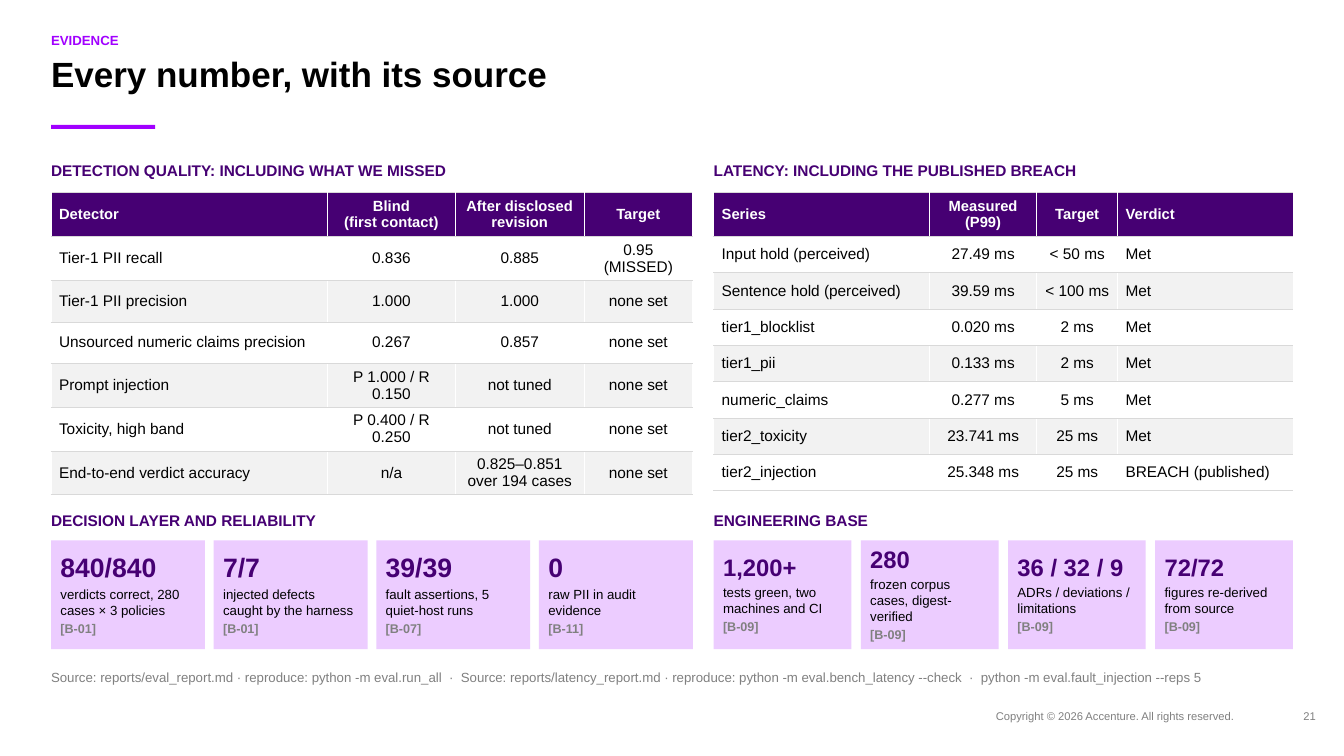
from lxml import etree
from pptx import Presentation
from pptx import util as u
from pptx.dml.color import RGBColor
from pptx.enum import shapes, text
from pptx.oxml import ns

PX = 9144
FONT = "Arial"
VIOLET = RGBColor(0xA1, 0x00, 0xFF)
PURPLE = RGBColor(0x46, 0x00, 0x73)
LILAC = RGBColor(0xEC, 0xCC, 0xFF)
BLACK = RGBColor(0x00, 0x00, 0x00)
WHITE = RGBColor(0xFF, 0xFF, 0xFF)
GREY = RGBColor(0x80, 0x80, 0x80)
STRIPE = RGBColor(0xF2, 0xF2, 0xF2)
RULE = RGBColor(0xD9, 0xD9, 0xD9)
LEFT, CENTER, RIGHT = text.PP_ALIGN.LEFT, text.PP_ALIGN.CENTER, text.PP_ALIGN.RIGHT

LEFT_X, LEFT_W = 76, 955
RIGHT_X, RIGHT_W = 1062, 862
FULL_W = 1848

DETECTION = [
    ["Detector", "Blind\n(first contact)", "After disclosed\nrevision", "Target"],
    ["Tier-1 PII recall", "0.836", "0.885", "0.95 (MISSED)"],
    ["Tier-1 PII precision", "1.000", "1.000", "none set"],
    ["Unsourced numeric claims precision", "0.267", "0.857", "none set"],
    ["Prompt injection", "P 1.000 / R 0.150", "not tuned", "none set"],
    ["Toxicity, high band", "P 0.400 / R 0.250", "not tuned", "none set"],
    ["End-to-end verdict accuracy", "n/a", "0.825–0.851\nover 194 cases", "none set"],
]
LATENCY = [
    ["Series", "Measured (P99)", "Target", "Verdict"],
    ["Input hold (perceived)", "27.49 ms", "< 50 ms", "Met"],
    ["Sentence hold (perceived)", "39.59 ms", "< 100 ms", "Met"],
    ["tier1_blocklist", "0.020 ms", "2 ms", "Met"],
    ["tier1_pii", "0.133 ms", "2 ms", "Met"],
    ["numeric_claims", "0.277 ms", "5 ms", "Met"],
    ["tier2_toxicity", "23.741 ms", "25 ms", "Met"],
    ["tier2_injection", "25.348 ms", "25 ms", "BREACH (published)"],
]
RELIABILITY = [
    ("840/840", "verdicts correct, 280 cases × 3 policies", "[B-01]"),
    ("7/7", "injected defects caught by the harness", "[B-01]"),
    ("39/39", "fault assertions, 5 quiet-host runs", "[B-07]"),
    ("0", "raw PII in audit evidence", "[B-11]"),
]
ENGINEERING = [
    ("1,200+", "tests green, two machines and CI", "[B-09]"),
    ("280", "frozen corpus cases, digest-verified", "[B-09]"),
    ("36 / 32 / 9", "ADRs / deviations / limitations", "[B-09]"),
    ("72/72", "figures re-derived from source", "[B-09]"),
]
SOURCES = (
    "Source: reports/eval_report.md · reproduce: python -m eval.run_all  ·  "
    "Source: reports/latency_report.md · reproduce: python -m eval.bench_latency --check  ·  "
    "python -m eval.fault_injection --reps 5"
)


def px(*lengths):
    """Turn px lengths into EMU."""
    return [u.Emu(round(length * PX)) for length in lengths]


def write(paragraph, words, size, color, bold=False, align=LEFT):
    """Fill a paragraph with runs, one per line of the words."""
    paragraph.alignment = align
    for number, line in enumerate(words.split("\n")):
        if number:
            paragraph.add_line_break()
        run = paragraph.add_run()
        run.text = line
        run.font.name = FONT
        run.font.size = u.Pt(size)
        run.font.bold = bold
        run.font.color.rgb = color


def add_label(slide, box, words, size, color, bold=False, align=LEFT, spacing=None):
    """Add a line of text without insets."""
    frame = slide.shapes.add_textbox(*px(*box)).text_frame
    frame.margin_left = frame.margin_top = frame.margin_right = frame.margin_bottom = 0
    frame.word_wrap = True
    frame.auto_size = text.MSO_AUTO_SIZE.SHAPE_TO_FIT_TEXT
    write(frame.paragraphs[0], words, size, color, bold, align)
    if spacing:
        frame.paragraphs[0].line_spacing = spacing


def add_block(slide, box, color):
    """Add a flat rectangle and return it."""
    block = slide.shapes.add_shape(shapes.MSO_SHAPE.RECTANGLE, *px(*box))
    block.shadow.inherit = False
    block.fill.solid()
    block.fill.fore_color.rgb = color
    block.line.fill.background()
    return block


def set_borders(cell):
    """Give a cell white sides and grey rules above and below."""
    properties = cell._tc.get_or_add_tcPr()
    for side, color, width in (("L", WHITE, 1), ("R", WHITE, 1), ("T", RULE, 0.75), ("B", RULE, 0.75)):
        line = etree.SubElement(properties, ns.qn(f"a:ln{side}"), w=str(u.Pt(width)))
        fill = etree.SubElement(line, ns.qn("a:solidFill"))
        etree.SubElement(fill, ns.qn("a:srgbClr"), val=str(color))


def add_grid(slide, left, columns, row_height, aligns, rows):
    """Add a striped table with a dark header row."""
    heights = [66] + [row_height] * (len(rows) - 1)
    box = px(left, 286, sum(columns), sum(heights))
    table = slide.shapes.add_table(len(rows), len(columns), *box).table
    table.horz_banding = False
    for column, width in zip(table.columns, px(*columns)):
        column.width = width
    for index, (row, height) in enumerate(zip(table.rows, px(*heights))):
        row.height = height
        header = index == 0
        for cell, words, align in zip(row.cells, rows[index], aligns):
            cell.margin_left, cell.margin_right, cell.margin_top, cell.margin_bottom = px(12, 12, 5, 5)
            cell.vertical_anchor = text.MSO_ANCHOR.MIDDLE
            set_borders(cell)
            cell.fill.solid()
            cell.fill.fore_color.rgb = PURPLE if header else WHITE if index % 2 else STRIPE
            write(cell.text_frame.paragraphs[0], words, 15.8 if header else 16.5,
                  WHITE if header else BLACK, header, align)


def add_card(slide, box, figure, meaning, reference, figure_size):
    """Add a card with a figure, its meaning and its reference."""
    frame = add_block(slide, box, LILAC).text_frame
    frame.word_wrap = True
    frame.vertical_anchor = text.MSO_ANCHOR.MIDDLE
    frame.margin_left, frame.margin_right, frame.margin_top, frame.margin_bottom = px(14, 14, 6, 6)
    headline = frame.paragraphs[0]
    headline.line_spacing = 0.92
    write(headline, figure, figure_size, PURPLE, True)
    for words, size, color, bold in ((meaning, 14.2, BLACK, False), (reference, 13.5, GREY, True)):
        detail = frame.add_paragraph()
        detail.space_before = u.Pt(3)
        write(detail, words, size, color, bold)


def add_card_row(slide, left, width, gap, figure_size, cards):
    """Spread cards evenly over a width."""
    card_width = (width - gap * (len(cards) - 1)) / len(cards)
    for index, card in enumerate(cards):
        box = (left + index * (card_width + gap), 804, card_width, 162)
        add_card(slide, box, *card, figure_size)


def main():
    """Build the evidence slide."""
    deck = Presentation()
    deck.slide_width, deck.slide_height = px(2000, 1125)
    slide = deck.slides.add_slide(deck.slide_layouts[6])

    add_label(slide, (LEFT_X, 48, FULL_W, 30), "EVIDENCE", 14.2, VIOLET, True)
    add_label(slide, (LEFT_X, 82, FULL_W, 95), "Every number, with its source", 37.5, BLACK, True, spacing=0.95)
    add_block(slide, (LEFT_X, 186, 155, 6), VIOLET)

    for left, top, width, heading in (
        (LEFT_X, 240, LEFT_W, "DETECTION QUALITY: INCLUDING WHAT WE MISSED"),
        (RIGHT_X, 240, RIGHT_W, "LATENCY: INCLUDING THE PUBLISHED BREACH"),
        (LEFT_X, 760, LEFT_W, "DECISION LAYER AND RELIABILITY"),
        (RIGHT_X, 760, RIGHT_W, "ENGINEERING BASE"),
    ):
        add_label(slide, (left, top, width, 38), heading, 16.5, PURPLE, True)

    add_grid(slide, LEFT_X, (411, 191, 191, 162), 62, (LEFT, CENTER, CENTER, CENTER), DETECTION)
    add_grid(slide, RIGHT_X, (321, 160, 120, 261), 54, (LEFT, CENTER, CENTER, LEFT), LATENCY)
    add_card_row(slide, LEFT_X, LEFT_W, 13, 28.5, RELIABILITY)
    add_card_row(slide, RIGHT_X, RIGHT_W, 14, 25.5, ENGINEERING)

    add_label(slide, (LEFT_X, 996, FULL_W, 30), SOURCES, 14.2, GREY)
    add_label(slide, (1482, 1055, 393, 24), "Copyright © 2026 Accenture. All rights reserved.", 12, GREY)
    add_label(slide, (1898, 1055, 60, 24), "21", 12, GREY, align=RIGHT)
    deck.save("out.pptx")


if __name__ == "__main__":
    main()
